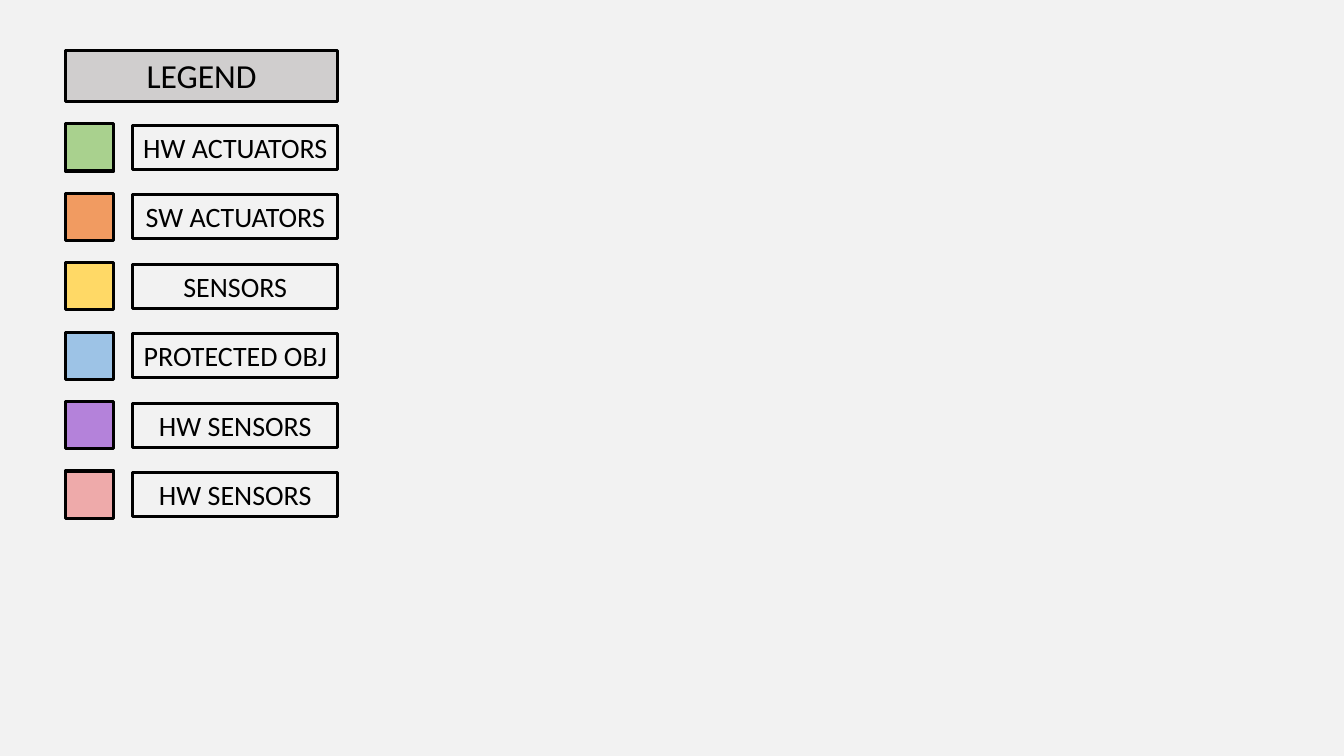
"""Build a slide with a colour legend of actuators, sensors and objects."""
import pptx
import pptx.util
import pptx.dml.color
import pptx.enum.shapes
import pptx.enum.text

Cm = pptx.util.Cm


def hue(code):
    return pptx.dml.color.RGBColor.from_string(code)


def box(left, top, width, height, fill=None, text="", size=20):
    shape = slide.shapes.add_shape(
        pptx.enum.shapes.MSO_SHAPE.RECTANGLE,
        Cm(left), Cm(top), Cm(width), Cm(height))
    shape.shadow.inherit = False
    if fill:
        shape.fill.solid()
        shape.fill.fore_color.rgb = hue(fill)
    else:
        shape.fill.background()
    shape.line.color.rgb = hue("000000")
    shape.line.width = pptx.util.Pt(2.25)
    if text:
        frame = shape.text_frame
        frame.text = text
        for name, value in FRAME.items():
            setattr(frame, name, value)
        para = frame.paragraphs[0]
        para.alignment = pptx.enum.text.PP_ALIGN.CENTER
        font = para.runs[0].font
        font.name = "Calibri"
        font.size = pptx.util.Pt(size)
        font.color.rgb = hue("000000")


FRAME = {
    "word_wrap": True,
    "auto_size": pptx.enum.text.MSO_AUTO_SIZE.SHAPE_TO_FIT_TEXT,
    "vertical_anchor": pptx.enum.text.MSO_ANCHOR.TOP,
}
ITEMS = [
    ("HW ACTUATORS", "A9D18E"),
    ("SW ACTUATORS", "F19B61"),
    ("SENSORS", "FFD966"),
    ("PROTECTED OBJ", "9DC3E6"),
    ("HW SENSORS", "B482DA"),
    ("HW SENSORS", "EEAAAA"),
]
LEFT, TOP, STEP = 1.65, 3.12, 1.75

deck = pptx.Presentation()
deck.slide_width, deck.slide_height = Cm(33.87), Cm(19.05)
slide = deck.slides.add_slide(deck.slide_layouts[6])
slide.background.fill.solid()
slide.background.fill.fore_color.rgb = hue("F2F2F2")

box(LEFT, 1.27, 6.86, 1.28, "D0CECE", "LEGEND", 24)
for row, (label, fill) in enumerate(ITEMS):
    top = TOP + row * STEP
    box(LEFT, top, 1.22, 1.19, fill)
    box(LEFT + 1.7, top + 0.04, 5.16, 1.11, text=label)

deck.save("out.pptx")
